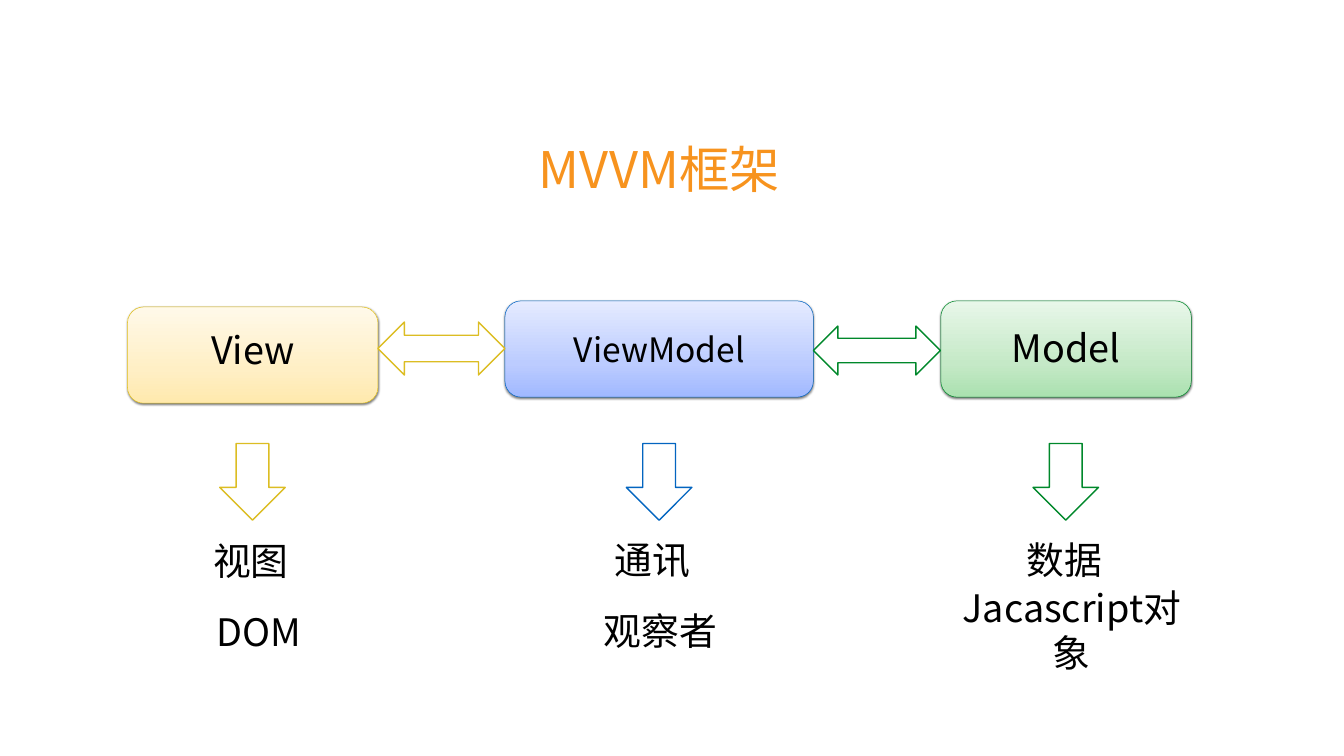
from lxml import etree
from pptx import Presentation
from pptx.dml.color import RGBColor
from pptx.enum.shapes import MSO_SHAPE
from pptx.enum.text import MSO_ANCHOR, MSO_AUTO_SIZE, PP_ALIGN
from pptx.oxml.ns import qn
from pptx.util import Inches, Pt

BLOCK = MSO_SHAPE.ROUNDED_RECTANGLE
BOTH = MSO_SHAPE.LEFT_RIGHT_ARROW
DOWN = MSO_SHAPE.DOWN_ARROW
MIDDLE = MSO_ANCHOR.MIDDLE
CENTER = PP_ALIGN.CENTER
GROW = MSO_AUTO_SIZE.SHAPE_TO_FIT_TEXT
FIXED = MSO_AUTO_SIZE.NONE

FONT = "Noto Sans CJK SC"
WHITE = RGBColor(0xFF, 0xFF, 0xFF)
BLACK = RGBColor(0, 0, 0)
ORANGE = RGBColor(0xF7, 0x93, 0x1E)
GOLD = RGBColor(0xDC, 0xBD, 0x23)
BLUE = RGBColor(0x03, 0x65, 0xC0)
GREEN = RGBColor(0x00, 0x88, 0x2B)
GOLD_EDGE = RGBColor(0xDC, 0xBC, 0x1E)
BLUE_EDGE = RGBColor(0x00, 0x63, 0xBF)
GREEN_EDGE = RGBColor(0x00, 0x85, 0x2A)
GOLD_FADE = [RGBColor(0xFF, 0xE9, 0xAD), RGBColor(0xFF, 0xEF, 0xC5), RGBColor(0xFF, 0xF9, 0xE9)]
BLUE_FADE = [RGBColor(0xA0, 0xB8, 0xFF), RGBColor(0xBC, 0xCC, 0xFF), RGBColor(0xE5, 0xEB, 0xFF)]
GREEN_FADE = [RGBColor(0xAA, 0xE1, 0xAF), RGBColor(0xC5, 0xE9, 0xC7), RGBColor(0xE8, 0xF7, 0xE9)]
STOPS = [0, 35, 100]


def add(parent, tag, **attrs):
    """Append a DrawingML element and return it."""
    return etree.SubElement(parent, qn("a:" + tag), {k: str(v) for k, v in attrs.items()})


def write(frame, text, size=54, color=BLACK, inset=0.06, fit=GROW, lead=None, before=None):
    """Fill a text frame with one centred, formatted paragraph."""
    frame.word_wrap = True
    frame.auto_size = fit
    frame.vertical_anchor = MIDDLE
    frame.margin_left = frame.margin_right = Inches(inset)
    frame.margin_top = frame.margin_bottom = Inches(inset)
    para = frame.paragraphs[0]
    para.alignment = CENTER
    if lead:
        para.line_spacing = lead
    if before:
        para.space_before = Pt(before)
    run = para.add_run()
    run.text = text
    run.font.size = Pt(size)
    run.font.name = FONT
    run.font.color.rgb = color
    add(run.font._element, "ea", typeface=FONT)


class Deck:
    """Holds the style and the current slide."""

    def __init__(self, width, height):
        """Start a deck with one title-only slide."""
        self.file = Presentation()
        self.file.slide_width = Inches(width)
        self.file.slide_height = Inches(height)
        self.slide = self.file.slides.add_slide(self.file.slide_layouts[5])

    def title(self, text, *box):
        """Place and write the title."""
        head = self.slide.shapes.title
        head.left, head.top, head.width, head.height = map(Inches, box)
        write(head.text_frame, text, size=72, color=ORANGE, inset=0,
              fit=FIXED, lead=1.3, before=59)

    def label(self, text, *box, **style):
        """Add a text box."""
        area = self.slide.shapes.add_textbox(*map(Inches, box))
        write(area.text_frame, text, **style)

    def shape(self, kind, color, *box, weight=2):
        """Add an outlined white shape without a shadow."""
        item = self.slide.shapes.add_shape(kind, *map(Inches, box))
        item.shadow.inherit = False
        item.fill.solid()
        item.fill.fore_color.rgb = WHITE
        item.line.color.rgb = color
        item.line.width = Pt(weight)
        return item

    def block(self, fade, edge, *box):
        """Add a rounded block with an upward fade and a soft shadow."""
        item = self.shape(BLOCK, edge, *box, weight=0.75)
        item.fill.gradient()
        item.fill.gradient_angle = 90
        props = item._element.spPr
        stops = props.find(".//" + qn("a:gsLst"))
        for old in list(stops):
            stops.remove(old)
        for pos, color in zip(STOPS, fade):
            add(add(stops, "gs", pos=pos * 1000), "srgbClr", val=color)
        shade = add(props.find(qn("a:effectLst")), "outerShdw", blurRad=Pt(3),
                    dist=Pt(2), dir=90 * 60000, rotWithShape=0)
        add(add(shade, "srgbClr", val=BLACK), "alpha", val=50000)


def main():
    """Build and save the slide."""
    deck = Deck(26.67, 15)
    deck.title("MVVM框架", 5.26, 2.55, 15.65, 1.22)

    # Fade, edge, left, top, width; then name, its box and size
    blocks = [
        (GOLD_FADE, GOLD_EDGE, 2.53, 6.09, 4.97, "View", (3.17, 6.42, 3.7, 1.02), 54),
        (BLUE_FADE, BLUE_EDGE, 10.02, 5.97, 6.12, "ViewModel", (10.53, 6.47, 5.11, 0.92), 48),
        (GREEN_FADE, GREEN_EDGE, 18.67, 5.97, 4.97, "Model", (19.64, 6.39, 3.03, 1.02), 54),
    ]
    for fade, edge, left, top, width, name, box, size in blocks:
        deck.block(fade, edge, left, top, width, 1.91)
        deck.label(name, *box, size=size)

    deck.shape(BOTH, GOLD, 7.5, 6.39, 2.52, 1.05)
    deck.shape(BOTH, GREEN, 16.14, 6.47, 2.52, 0.97)

    # Colour, role, means, left and top of the notes
    notes = [
        (GOLD, "视图", "DOM", 2.53, 10.61),
        (BLUE, "通讯", "观察者", 10.5, 10.58),
        (GREEN, "数据", "Jacascript对象", 18.67, 10.58),
    ]
    for i, (color, role, means, left, top) in enumerate(notes):
        deck.shape(DOWN, color, 4.36 + 8.07 * i, 8.8, 1.3, 1.52)
        deck.label(role, left + 1.16, top, 2.58, 1.02)
        deck.label(means, left, top + 1.41, 5.2, 1.02)

    deck.file.save("out.pptx")


main()
